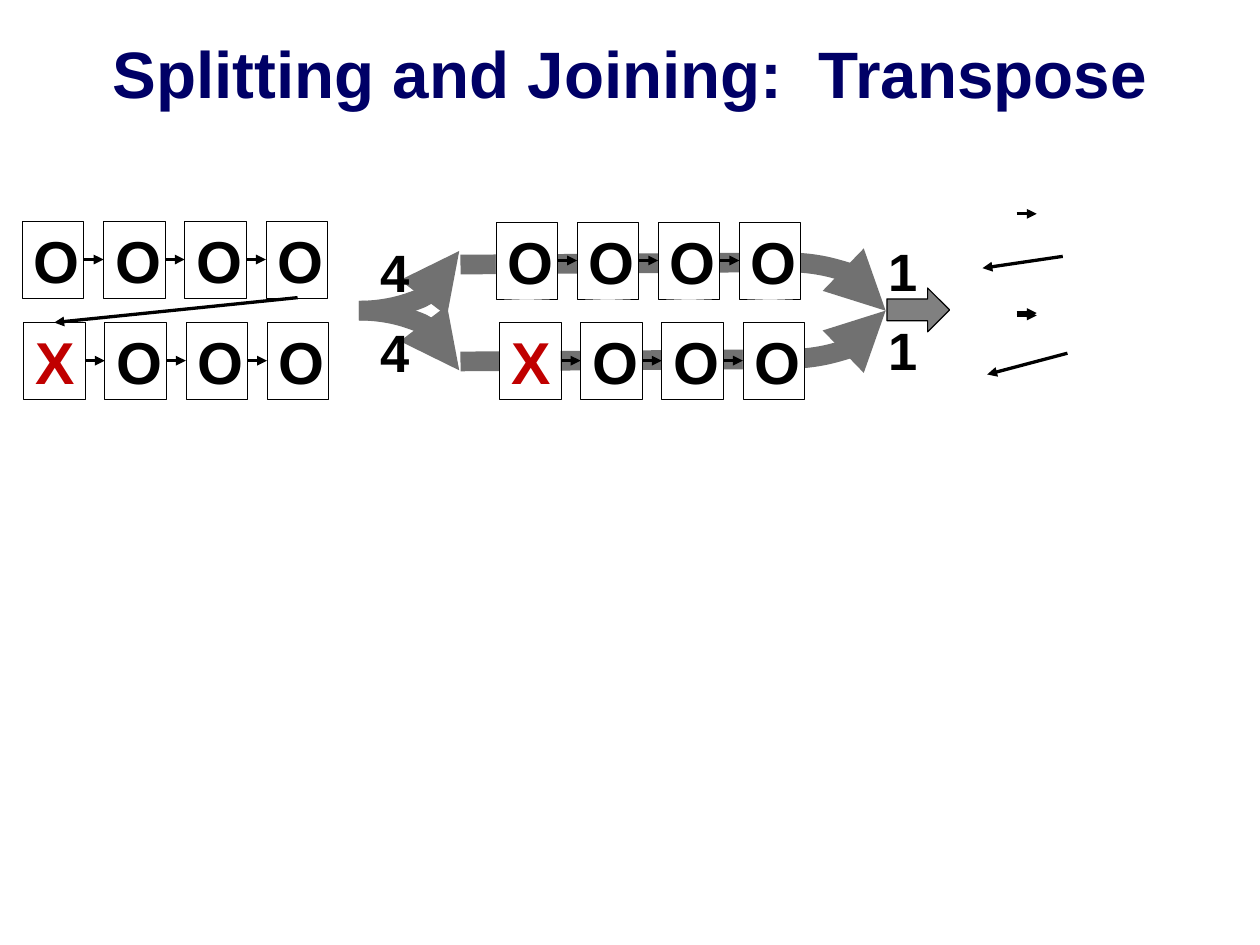
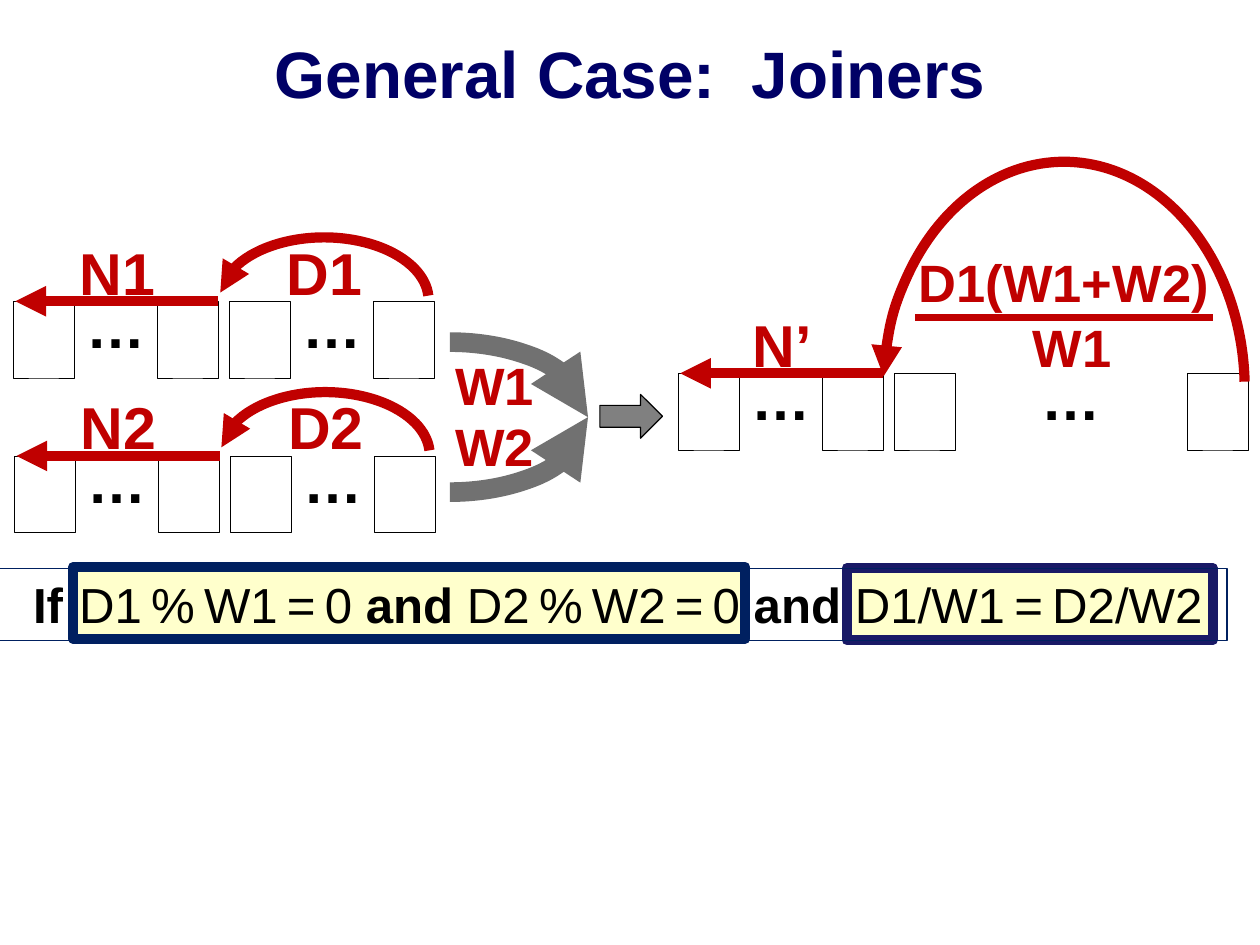
from lxml import etree
from pptx import Presentation
from pptx import util as u
from pptx.dml import color
from pptx.enum import shapes, text
from pptx.oxml import ns

WIDTH, HEIGHT = 10.67, 8
FONT = "Arial"
BLACK, WHITE, RED, GRAY, NAVY = "000000", "FFFFFF", "C00000", "717171", "000066"
CELL_W, CELL_H, PITCH = 4.87, 8.13, 6.44
SHAPE = shapes.MSO_SHAPE


def rgb(value):
    return color.RGBColor.from_string(value)


def px(share):
    return u.Inches(WIDTH * share / 100)


def py(share):
    return u.Inches(HEIGHT * share / 100)


def place(box):
    x, y, w, h = box
    return px(x), py(y), px(w), py(h)


def style_run(r, size, hue, bold=True):
    r.font.name = FONT
    r.font.size = u.Pt(size)
    r.font.bold = bold
    r.font.color.rgb = rgb(hue)


def style_line(sp, hue, width, arrow=False):
    sp.line.color.rgb = rgb(hue)
    sp.line.width = u.Pt(width)
    if arrow:
        ln = sp.line._get_or_add_ln()
        etree.SubElement(ln, ns.qn("a:tailEnd"), type="triangle")


def write(sp, content, size, hue):
    tf = sp.text_frame
    tf.text = content
    p = tf.paragraphs[0]
    p.alignment = text.PP_ALIGN.CENTER
    style_run(p.runs[0], size, hue)
    return tf


def add_shape(s, kind, box, hue, width, fill=None, arrow=False):
    sp = s.shapes.add_shape(kind, *place(box))
    sp.shadow.inherit = False
    if fill:
        sp.fill.solid()
        sp.fill.fore_color.rgb = rgb(fill)
    else:
        sp.fill.background()
    style_line(sp, hue, width, arrow)
    return sp


def add_line(s, start, end, hue=BLACK, width=2, arrow=True):
    sp = s.shapes.add_connector(shapes.MSO_CONNECTOR.STRAIGHT,
                                px(start[0]), py(start[1]), px(end[0]), py(end[1]))
    etree.SubElement(sp._element.spPr, ns.qn("a:effectLst"))
    style_line(sp, hue, width, arrow)
    effect = sp._element.spPr.find(ns.qn("a:effectLst"))
    sp._element.spPr.append(effect)


def add_arc(s, box, hue, width, flip=None, angles=None):
    sp = add_shape(s, SHAPE.ARC, box, hue, width, arrow=True)
    if flip:
        sp._element.spPr.find(ns.qn("a:xfrm")).set(flip, "1")
    for i, angle in enumerate(angles or ()):
        sp.adjustments[i] = angle


def add_label(s, center, top, content, size=32, hue=BLACK, w=8):
    h = 8.88 if size == 36 else 8
    sp = s.shapes.add_textbox(*place((center - w / 2, top, w, h)))
    tf = write(sp, content, size, hue)
    tf.word_wrap = False
    tf.auto_size = text.MSO_AUTO_SIZE.SHAPE_TO_FIT_TEXT


def add_cell(s, x, y, letter="", fill=None):
    sp = add_shape(s, SHAPE.RECTANGLE, (x, y, CELL_W, CELL_H), BLACK, 0.25, fill)
    if letter:
        tf = write(sp, letter, 36, RED if letter == "X" else BLACK)
        tf.vertical_anchor = text.MSO_ANCHOR.MIDDLE


def new_slide(prs, title):
    s = prs.slides.add_slide(prs.slide_layouts[5])
    sp = s.shapes.title
    sp.left, sp.top, sp.width, sp.height = place((0, -0.63, 100, 16.63))
    tf = write(sp, title, 40, NAVY)
    tf.vertical_anchor = text.MSO_ANCHOR.MIDDLE
    tf.margin_left = tf.margin_right = u.Inches(0.11)
    tf.margin_top = tf.margin_bottom = u.Inches(0.05)
    return s


def queue(s, x, y, letters, fill=None):
    for i, letter in enumerate(letters):
        left = x + i * PITCH
        add_cell(s, left, y, letter, fill)
        if i:
            add_line(s, (left - PITCH + CELL_W, y + CELL_H / 2), (left, y + CELL_H / 2))


def splitter(s, box, weights):
    x, y, w, h = box
    half = h / 2
    add_arc(s, (x, y + half, w, half), GRAY, 12)
    add_arc(s, (x, y, w, half), GRAY, 12, "flipV")
    for weight, dy in zip(weights, (4.5, 13)):
        add_label(s, x + 10.83, y + dy, weight, w=4.2)


def joiner(s, box, weights, label_x, label_ys, hue, gap):
    x, y, w, h = box
    add_arc(s, box, GRAY, 12, "flipV")
    add_arc(s, box, GRAY, 12)
    for weight, dy in zip(weights, label_ys):
        add_label(s, x + label_x, y + dy, weight, hue=hue, w=4.2 * len(weight))
    add_shape(s, SHAPE.RIGHT_ARROW, (x + w + gap, y + h / 2 - 2.4, 4.97, 4.63),
              BLACK, 0.75, "808080")


def output_links(s, x, y):
    for dy in (0, 10.5, 10.75):
        add_line(s, (x + 2.7, y + dy), (x + 4.3, y + dy))
    add_line(s, (x + 6.37, y + 4.5), (x, y + 5.75))
    add_line(s, (x + 6.74, y + 14.75), (x + 0.37, y + 17))


def stream(s, x, y, name, last, arc, delay=None):
    for dx in (0, 11.43, 17.15, last):
        add_cell(s, x + dx, y)
    dx, dy, w, h = arc
    add_arc(s, (x + dx, y + dy, w, h), RED, 6.25, "flipH", (109.432, 213.554))
    add_line(s, (x + 16.31, y), (x + 0.19, y), RED, 6.25)
    add_label(s, x + 8.3, y - 7.5, name, 36, RED)
    if delay:
        add_label(s, x + 24.74, y - 7.5, delay, 36, RED)
    for center in (8.2, (17.15 + last + CELL_W) / 2):
        add_label(s, x + center, y - 1.88, "…", 36, w=6.65)


def fraction(s, x, y, w, top, bottom):
    add_label(s, x + w / 2, y - 7.75, top, hue=RED, w=25.12)
    add_line(s, (x, y), (x + w, y), RED, 4.5, arrow=False)
    add_label(s, x + w / 2 + 0.66, y - 0.88, bottom, hue=RED, w=8.25)


def condition(s, x, y):
    h = 7.63
    add_shape(s, SHAPE.RECTANGLE, (x + 69.82, y, 29.05, h), "191966", 6.25, "FFFFCC")
    add_shape(s, SHAPE.RECTANGLE, (x + 8.43, y - 0.13, 53.33, h), "002060", 6.25, "FFFFCC")
    sp = add_shape(s, SHAPE.RECTANGLE, (x, y, 100, h), "002060", 0.75)
    tf = sp.text_frame
    tf.word_wrap = True
    tf.auto_size = text.MSO_AUTO_SIZE.SHAPE_TO_FIT_TEXT
    tf.vertical_anchor = text.MSO_ANCHOR.TOP
    tf.margin_left = px(5.25)
    p = tf.paragraphs[0]
    p.alignment = text.PP_ALIGN.LEFT

    def say(content, size=30, bold=False):
        r = p.add_run()
        r.text = content
        style_run(r, size, BLACK, bold)

    def formula(content):
        for i, term in enumerate(content.split()):
            if i:
                say(" ", 20)
            say(term)

    say("If ", bold=True)
    say(" ", 5)
    formula("D1 % W1 = 0")
    for content in ("D2 % W2 = 0", "D1/W1 = D2/W2"):
        say(" ")
        say("and", bold=True)
        say(" ")
        formula(content)


def transpose_slide(prs):
    s = new_slide(prs, "Splitting and Joining:  Transpose")
    for y in (27.75, 38):
        add_line(s, (36.55, y + 0.25), (62.98, y), GRAY, 12, arrow=False)
    joiner(s, (54.36, 27.75, 15.93, 10.25), ("1", "1"), 17.29, (-3.1, 5.25), BLACK, 0.1)
    splitter(s, (20.52, 20.25, 15.93, 25.25), ("4", "4"))
    for x, y, letters, fill in ((1.78, 23.4, "OOOO", None), (1.87, 34.1, "XOOO", None),
                                (39.36, 23.5, "OOOO", WHITE), (39.64, 34.1, "XOOO", WHITE)):
        queue(s, x, y, letters, fill)
    add_line(s, (23.62, 31.5), (4.31, 34.13))
    output_links(s, 77.98, 22.63)


def joiners_slide(prs):
    s = new_slide(prs, "General Case:  Joiners")
    condition(s, -2.62, 60.13)
    for x, y, n in ((1.03, 31.88, "1"), (1.12, 48.25, "2")):
        stream(s, x, y, "N" + n, 28.58, (16.4, -6.75, 16.59, 13.25), "D" + n)
    joiner(s, (24.74, 36.2, 21.93, 15.88), ("W1", "W2"), 14.53, (0.55, 7.05), RED, 0.94)
    stream(s, 53.8, 39.5, "N’", 40.39, (16.31, -22.38, 28.68, 48.13))
    fraction(s, 72.63, 33.63, 23.62, "D1(W1+W2)", "W1")


def main():
    prs = Presentation()
    prs.slide_width, prs.slide_height = px(100), py(100)
    transpose_slide(prs)
    joiners_slide(prs)
    prs.save("out.pptx")


if __name__ == "__main__":
    main()
